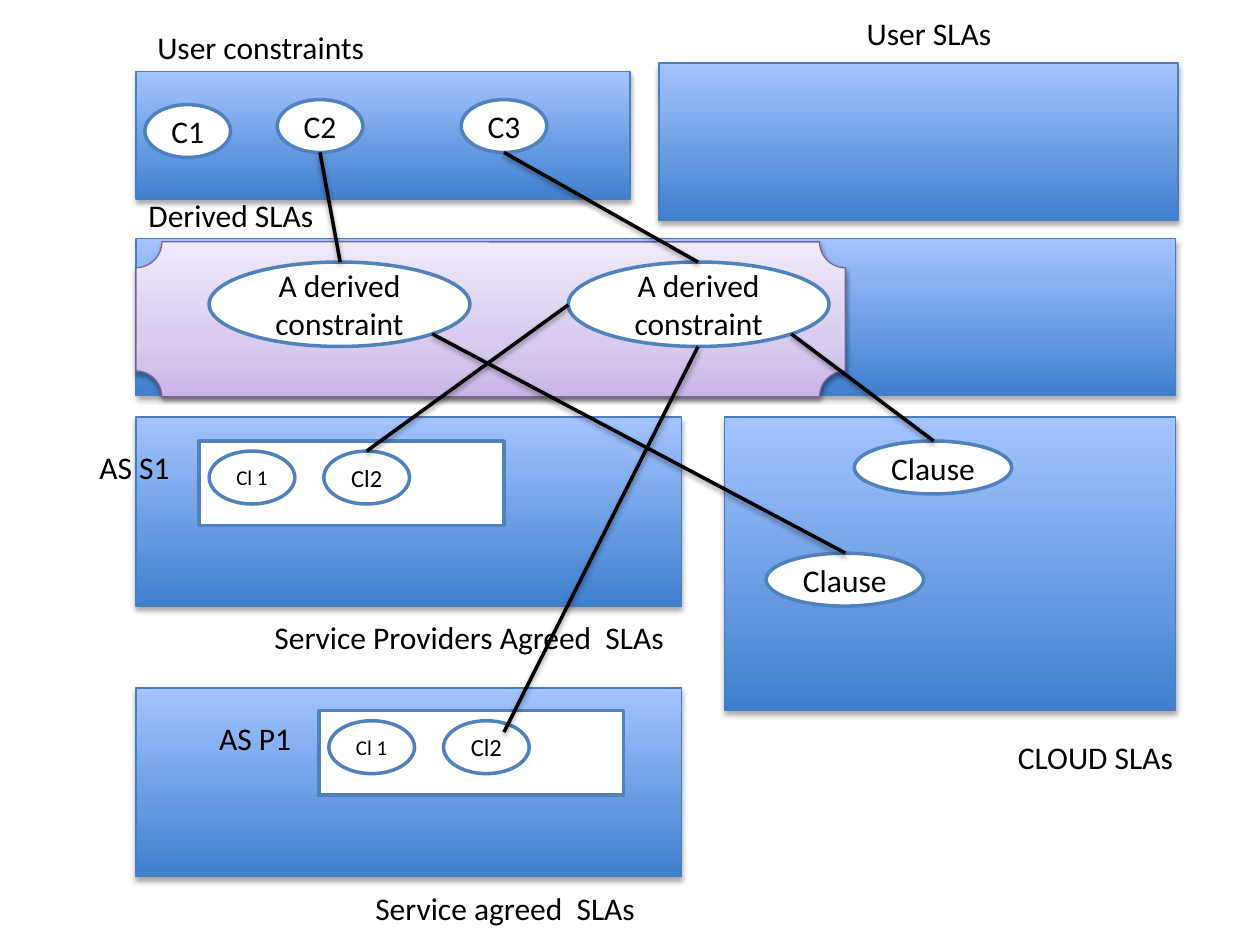
from copy import deepcopy
from lxml import etree
from pptx import Presentation
from pptx.dml.color import RGBColor
from pptx.enum.shapes import MSO_CONNECTOR, MSO_SHAPE
from pptx.enum.text import MSO_ANCHOR, MSO_AUTO_SIZE, PP_ALIGN
from pptx.oxml.ns import qn
from pptx.util import Inches, Pt

BLACK = RGBColor(0x00, 0x00, 0x00)
WHITE = RGBColor(0xFF, 0xFF, 0xFF)
OUTLINE = RGBColor(0x4F, 0x81, 0xBD)
PANEL_LINE = RGBColor(0x4B, 0x7E, 0xBC)
PANEL_DARK = RGBColor(0x3F, 0x80, 0xCE)
PANEL_LIGHT = RGBColor(0xA4, 0xC4, 0xFF)
PLAQUE_LINE = RGBColor(0x7D, 0x60, 0xA0)
PLAQUE_DARK = RGBColor(0xC9, 0xB5, 0xE8)
PLAQUE_MID = RGBColor(0xD8, 0xCB, 0xEE)
PLAQUE_LIGHT = RGBColor(0xF0, 0xEA, 0xF9)


def add_shadow(effects, alpha, distance):
    outer = etree.SubElement(effects, qn("a:outerShdw"), blurRad=str(Pt(3.1)),
                             dist=str(Pt(distance)), dir="5400000", rotWithShape="0")
    color = etree.SubElement(outer, qn("a:srgbClr"), val=str(BLACK))
    etree.SubElement(color, qn("a:alpha"), val=str(alpha * 1000))


def add_text(sp, text, size, align):
    p = sp.text_frame.paragraphs[0]
    p.alignment = align
    r = p.add_run()
    r.text = text
    r.font.name = "Calibri"
    r.font.size = Pt(size)
    r.font.color.rgb = BLACK


prs = Presentation()
prs.slide_width, prs.slide_height = Inches(10), Inches(7.5)
s = prs.slides.add_slide(prs.slide_layouts[6])

RECT, PLAQUE, ELLIPSE = MSO_SHAPE.RECTANGLE, MSO_SHAPE.PLAQUE, MSO_SHAPE.OVAL
blue = [PANEL_DARK, PANEL_LIGHT]
panels = [
    (RECT, 1.08, 1.89, 8.25, 1.25, blue, PANEL_LINE, 35, 1.8),
    (RECT, 5.75, 3.31, 3.58, 2.33, blue, PANEL_LINE, 35, 1.8),
    (RECT, 1.08, 3.31, 4.33, 1.5, blue, PANEL_LINE, 35, 1.8),
    (RECT, 1.08, 5.46, 4.33, 1.5, blue, PANEL_LINE, 35, 1.8),
    (RECT, 5.23, 0.5, 4.12, 1.25, blue, PANEL_LINE, 35, 1.8),
    (RECT, 1.08, 0.57, 3.92, 1.01, blue, PANEL_LINE, 35, 1.8),
    (PLAQUE, 1.08, 1.92, 5.63, 1.23, [PLAQUE_DARK, PLAQUE_MID, PLAQUE_LIGHT],
     PLAQUE_LINE, 38, 1.6),
]
for kind, x, y, w, h, colors, line_color, alpha, distance in panels:
    sp = s.shapes.add_shape(kind, Inches(x), Inches(y), Inches(w), Inches(h))
    sp.fill.gradient()
    sp.fill.gradient_angle = 90
    spPr = sp._element.spPr
    if len(colors) == 3:
        first = spPr.find(".//" + qn("a:gs"))
        first.addnext(deepcopy(first))
    positions = [0, 1] if len(colors) == 2 else [0, 0.35, 1]
    for stop, color, position in zip(sp.fill.gradient_stops, colors, positions):
        stop.color.rgb = color
        stop.position = position
    sp.line.color.rgb = line_color
    sp.line.width = Pt(0.75)
    sp.shadow.inherit = False
    add_shadow(spPr.find(qn("a:effectLst")), alpha, distance)

labels = [
    ("Derived SLAs", 1.08, 1.51, 1.52),
    ("CLOUD SLAs", 7.98, 5.81, 1.45),
    ("Service Providers Agreed  SLAs", 2.08, 4.86, 3.33),
    ("Service agreed  SLAs", 2.88, 7.01, 2.35),
    ("User SLAs", 6.78, 0.06, 1.2),
    ("User constraints", 1.15, 0.17, 1.86),
    ("AS S1", 0.69, 3.51, 0.78),
    ("AS P1", 1.64, 5.66, 0.78),
]
for text, x, y, w in labels:
    tb = s.shapes.add_textbox(Inches(x), Inches(y), Inches(w), Inches(0.4))
    tb.text_frame.word_wrap = False
    tb.text_frame.auto_size = MSO_AUTO_SIZE.SHAPE_TO_FIT_TEXT
    add_text(tb, text, 18, PP_ALIGN.LEFT)

nodes = [
    (ELLIPSE, "C1", 1.15, 0.83, 0.68, 0.42, 18),
    (ELLIPSE, "C2", 2.2, 0.79, 0.68, 0.42, 18),
    (ELLIPSE, "C3", 3.66, 0.79, 0.68, 0.42, 18),
    (ELLIPSE, "Clause", 6.78, 3.5, 1.25, 0.42, 18),
    (ELLIPSE, "Clause", 6.08, 4.39, 1.25, 0.42, 18),
    (ELLIPSE, "A derived constraint", 1.66, 2.08, 2.07, 0.67, 18),
    (ELLIPSE, "A derived constraint", 4.51, 2.08, 2.07, 0.67, 18),
]
for x, y in [(1.58, 3.5), (2.53, 5.64)]:
    nodes += [
        (RECT, "", x, y, 2.42, 0.67, 18),
        (ELLIPSE, "Cl 1", x + 0.08, y + 0.08, 0.68, 0.42, 12),
        (ELLIPSE, "Cl2", x + 0.99, y + 0.08, 0.68, 0.42, 14),
    ]
for kind, text, x, y, w, h, size in nodes:
    sp = s.shapes.add_shape(kind, Inches(x), Inches(y), Inches(w), Inches(h))
    sp.shadow.inherit = False
    sp.fill.solid()
    sp.fill.fore_color.rgb = WHITE
    sp.line.color.rgb = OUTLINE
    sp.line.width = Pt(2)
    sp.text_frame.vertical_anchor = MSO_ANCHOR.MIDDLE
    if text:
        add_text(sp, text, size, PP_ALIGN.CENTER)

links = [
    (5.54, 2.75, 4, 5.81),
    (2.7, 2.08, 2.54, 1.21),
    (4, 1.21, 5.54, 2.08),
    (6.28, 2.65, 7.41, 3.5),
    (4.51, 2.42, 2.91, 3.58),
    (3.43, 2.65, 6.71, 4.39),
]
for link in links:
    cx = s.shapes.add_connector(MSO_CONNECTOR.STRAIGHT, *[Inches(v) for v in link])
    cx.line.color.rgb = BLACK
    cx.line.width = Pt(2)
    add_shadow(etree.SubElement(cx._element.spPr, qn("a:effectLst")), 38, 1.6)

prs.save("out.pptx")
